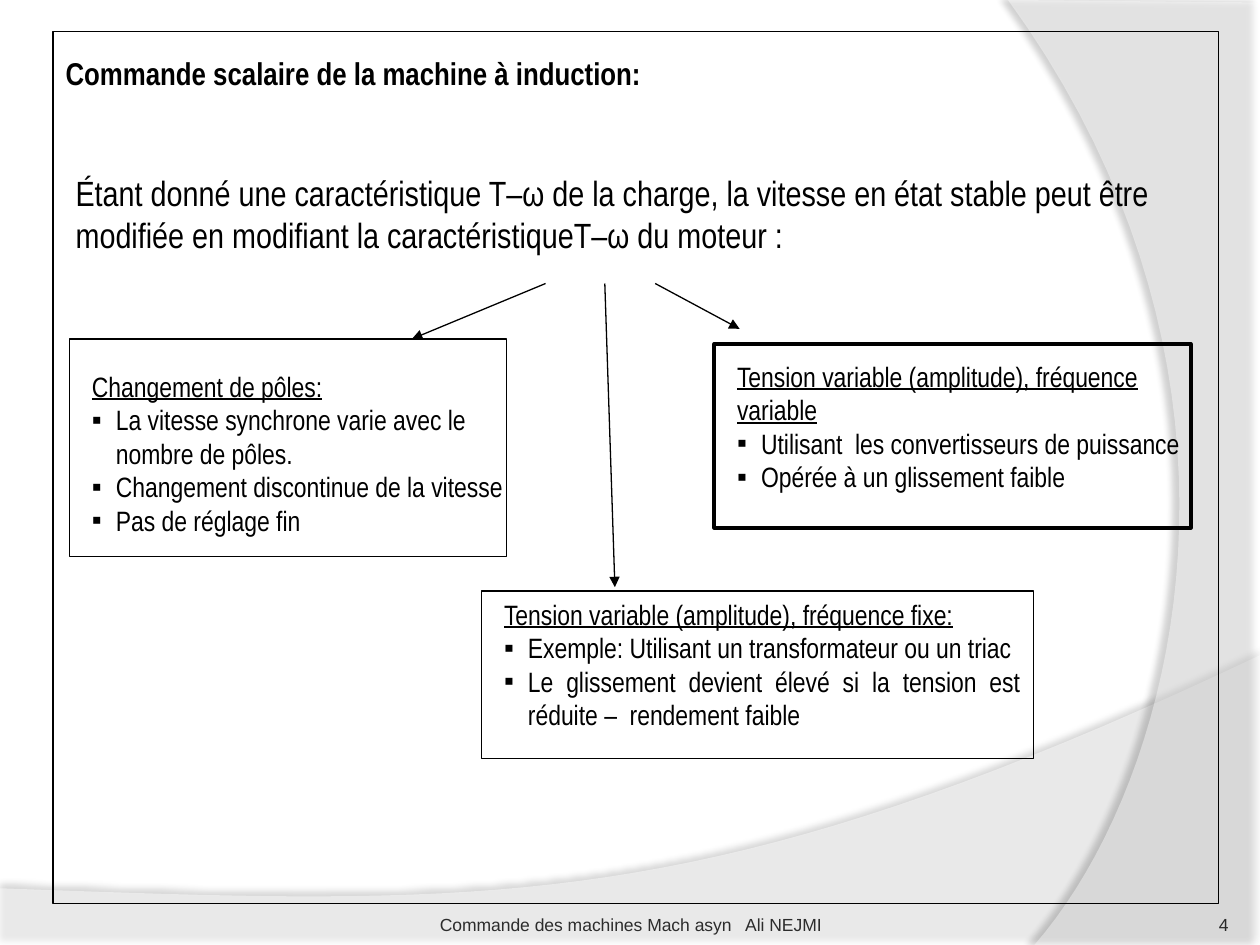
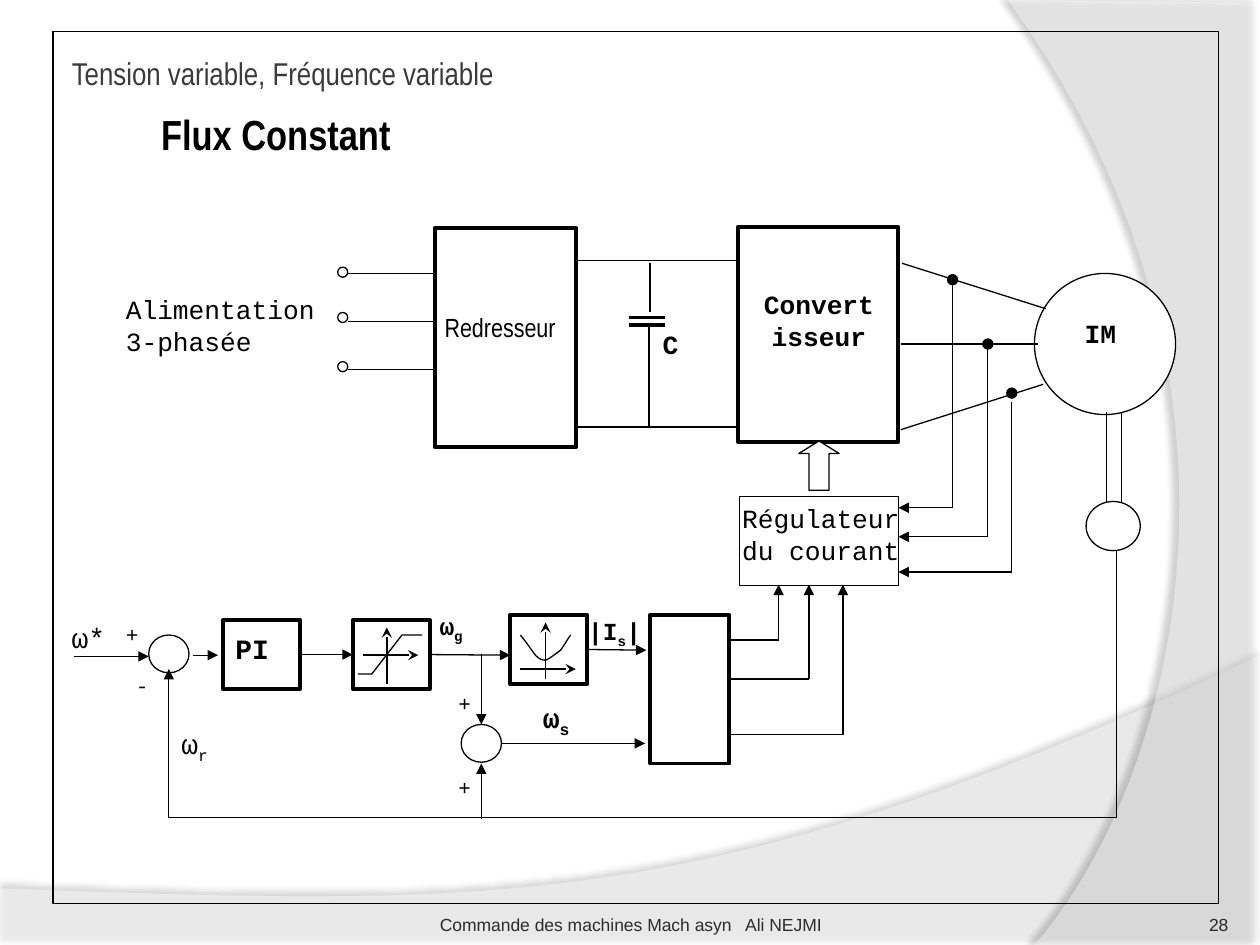
from lxml import etree
from pptx import Presentation
from pptx.dml.color import RGBColor
from pptx.enum.shapes import MSO_CONNECTOR, MSO_SHAPE
from pptx.enum.text import MSO_ANCHOR, MSO_AUTO_SIZE, PP_ALIGN
from pptx.oxml.ns import qn
from pptx.util import Pt

PX = 9144
RECTANGLE, ELLIPSE, UP_ARROW = MSO_SHAPE.RECTANGLE, MSO_SHAPE.OVAL, MSO_SHAPE.UP_ARROW
STRAIGHT = MSO_CONNECTOR.STRAIGHT
LEFT, CENTER, RIGHT, JUSTIFY = PP_ALIGN.LEFT, PP_ALIGN.CENTER, PP_ALIGN.RIGHT, PP_ALIGN.JUSTIFY
TOP, MIDDLE, BOTTOM = MSO_ANCHOR.TOP, MSO_ANCHOR.MIDDLE, MSO_ANCHOR.BOTTOM
NO_AUTOFIT = MSO_AUTO_SIZE.NONE
TITLE_ONLY, COMPARISON = 5, 4
NARROW, MONO, SANS = "Arial Narrow", "Courier New", "Arial"
BLACK, WHITE = "000000", "FFFFFF"
TITLE_BOX = (47, 36, 631, 44)
INSETS = (10, 5, 10, 5)


def color(value):
    return RGBColor.from_string(value)


def bezier(start, control1, control2, end, steps=40):
    points = []
    for step in range(1, steps + 1):
        t = step / steps
        weights = ((1 - t) ** 3, 3 * t * (1 - t) ** 2, 3 * t ** 2 * (1 - t), t ** 3)
        corners = (start, control1, control2, end)
        points.append(tuple(sum(w * c[axis] for w, c in zip(weights, corners))
                            for axis in (0, 1)))
    return points


class Deck:
    def __init__(self):
        self.presentation = Presentation()
        self.presentation.slide_width = 1000 * PX
        self.presentation.slide_height = 750 * PX
        self.slide = None

    def start_slide(self, layout, number):
        first = self.slide is None
        self.slide = self.presentation.slides.add_slide(self.presentation.slide_layouts[layout])
        if first:
            self.add_master_bands()
        self.shape(RECTANGLE, 42, 25, 925, 692, fill=None)
        self.text(str(number), 892, 702, 83, 40, size=10, font=SANS, ink="292929",
                  align=RIGHT, anchor=BOTTOM, insets=(0, 0, 0, 0))
        self.text("Commande des machines Mach asyn   Ali NEJMI", 342, 702, 317, 40, size=10,
                  font=SANS, ink="2C2C2C", align=CENTER, anchor=BOTTOM, insets=(0, 5, 0, 0))

    def add_master_bands(self):
        side = [(1000, 2), (1000, 750), (821, 750),
                *bezier((821, 750), (935, 619), (1018, 300), (800, 0))]
        floor = [(0, 705), (0, 751), (1000, 751), (1000, 520),
                 *bezier((1000, 520), (559, 729), (391, 719), (0, 705))]
        for points, opacity, shade, distance, angle in (
                (side, 40, 45, 4, 180), (floor, 45, 35, 3.5, 270)):
            band = self.freeform(points, closed=True)
            band.line.fill.background()
            band.fill.solid()
            band.fill.fore_color.rgb = color(WHITE)
            properties = band.element.spPr
            white = properties.find(qn("a:solidFill")).find(qn("a:srgbClr"))
            etree.SubElement(white, qn("a:alpha"), val=str(opacity * 1000))
            shadow = etree.SubElement(
                properties.find(qn("a:effectLst")), qn("a:outerShdw"), blurRad=str(Pt(4)),
                dist=str(Pt(distance)), dir=str(angle * 60000), algn="ctr", rotWithShape="0")
            black = etree.SubElement(shadow, qn("a:srgbClr"), val=BLACK)
            etree.SubElement(black, qn("a:alpha"), val=str(shade * 1000))
            self.presentation.slide_master.shapes.element.insert(2, band.element)

    def outline(self, shape, width):
        shape.line.color.rgb = color(BLACK)
        shape.line.width = Pt(width)

    def shape(self, kind, left, top, width, height, fill=WHITE, line=0.75):
        shape = self.slide.shapes.add_shape(kind, left * PX, top * PX, width * PX, height * PX)
        shape.shadow.inherit = False
        if fill:
            shape.fill.solid()
            shape.fill.fore_color.rgb = color(fill)
        else:
            shape.fill.background()
        self.outline(shape, line)
        return shape

    def freeform(self, points, closed=False):
        vertices = [(x * PX, y * PX) for x, y in points]
        builder = self.slide.shapes.build_freeform(*vertices[0])
        builder.add_line_segments(vertices[1:], close=closed)
        shape = builder.convert_to_shape()
        shape.shadow.inherit = False
        shape.fill.background()
        self.outline(shape, 0.75)
        return shape

    def line(self, x1, y1, x2, y2, width=0.75, head=None, begin=None, end=None):
        connector = self.slide.shapes.add_connector(STRAIGHT, x1 * PX, y1 * PX, x2 * PX, y2 * PX)
        if begin:
            connector.begin_connect(*begin)
        if end:
            connector.end_connect(*end)
        self.outline(connector, width)
        properties = connector.element.spPr
        if head:
            etree.SubElement(properties.find(qn("a:ln")), qn("a:tailEnd"), type=head)
        etree.SubElement(properties, qn("a:effectLst"))

    def arrow(self, x1, y1, x2, y2, **options):
        self.line(x1, y1, x2, y2, head="triangle", **options)

    def text(self, content, left, top, width, height, **style):
        box = self.slide.shapes.add_textbox(left * PX, top * PX, width * PX, height * PX)
        self.fill_text(box, content.split("\n"), **style)

    def title(self, content, **style):
        self.placeholder(0, [content], TITLE_BOX, size=18, anchor=MIDDLE, **style)

    def placeholder(self, index, lines, box, **style):
        shape = next(item for item in self.slide.placeholders
                     if item.placeholder_format.idx == index)
        shape.left, shape.top, shape.width, shape.height = (value * PX for value in box)
        self.fill_text(shape, lines, **style)

    def fill_text(self, shape, lines, size, font=NARROW, ink=BLACK, bold=False, align=LEFT,
                  anchor=TOP, insets=INSETS, listed=False):
        frame = shape.text_frame
        frame.word_wrap = True
        frame.auto_size = NO_AUTOFIT
        frame.vertical_anchor = anchor
        (frame.margin_left, frame.margin_top,
         frame.margin_right, frame.margin_bottom) = (value * PX for value in insets)
        for number, line in enumerate(lines):
            paragraph = frame.add_paragraph() if number else frame.paragraphs[0]
            bulleted = listed and number > 0
            properties = paragraph._p.get_or_add_pPr()
            properties.set("marL", str(19 * PX if bulleted else 0))
            properties.set("indent", str(-19 * PX if bulleted else 0))
            if bulleted:
                etree.SubElement(properties, qn("a:buChar"), char="▪")
            else:
                etree.SubElement(properties, qn("a:buNone"))
            paragraph.alignment = align
            paragraph.space_before = Pt(0)
            paragraph.font.name = font
            paragraph.font.size = Pt(size)
            paragraph.font.bold = bold
            paragraph.font.underline = listed and not bulleted
            paragraph.font.color.rgb = color(ink)
            for position, piece in enumerate(line.split("_")):
                if piece:
                    run = paragraph.add_run()
                    run.text = piece
                    if position % 2:
                        run._r.get_or_add_rPr().set("baseline", "-25000")


def build_methods(deck):
    deck.start_slide(COMPARISON, 4)
    deck.title("Commande scalaire de la machine à induction:", bold=True, insets=(5, 5, 5, 5))
    deck.placeholder(1, ["Étant donné une caractéristique T–ω de la charge, la vitesse en état "
                         "stable peut être modifiée en modifiant la caractéristiqueT–ω du moteur :"],
                     (50, 131, 908, 77), size=20)
    methods = (
        (["Changement de pôles:",
          "La vitesse synchrone varie avec le nombre de pôles.",
          "Changement discontinue de la vitesse",
          "Pas de réglage fin"],
         (63, 288, 361, 145), LEFT, (55, 269, 347, 173), 0.75, (433, 225, 327, 269)),
        (["Tension variable (amplitude), fréquence fixe:",
          "Exemple: Utilisant un transformateur ou un triac",
          "Le glissement devient élevé si la tension est réduite –  rendement faible"],
         (390, 469, 430, 118), JUSTIFY, (382, 469, 438, 133), 0.75, (480, 225, 488, 466)),
        (["Tension variable (amplitude), fréquence variable",
          "Utilisant  les convertisseurs de puissance",
          "Opérée à un glissement faible"],
         (575, 280, 390, 118), LEFT, (567, 273, 378, 146), 2.25, (520, 225, 587, 261)),
    )
    for index, (lines, text_box, align, border, width, arrow) in enumerate(methods, 2):
        deck.placeholder(index, lines, text_box, size=16, align=align, listed=True)
        deck.shape(RECTANGLE, *border, fill=None, line=width)
        deck.arrow(*arrow)


def build_power_stage(deck):
    deck.shape(RECTANGLE, 345, 181, 112, 174, line=2.25)
    deck.shape(RECTANGLE, 586, 180, 127, 171, line=2.25)
    deck.shape(ELLIPSE, 821, 217, 112, 112)
    deck.shape(ELLIPSE, 862, 398, 43, 39)
    deck.shape(RECTANGLE, 587, 394, 126, 71)
    gate_arrow = deck.shape(UP_ARROW, 634, 350, 32, 39)
    gate_arrow.adjustments[1] = 0.31
    for terminal_top, wire_y in ((212, 217), (248, 255), (287, 293)):
        deck.shape(ELLIPSE, 268, terminal_top, 8, 8, fill=None)
        deck.line(276, wire_y, 345, wire_y)
    for bus_y in (207, 339):
        deck.line(457, bus_y, 586, bus_y)
    for plate_y in (252, 258):
        deck.line(499, plate_y, 528, plate_y, width=2.25)
    deck.line(516, 209, 516, 248)
    deck.line(515, 258, 515, 340)
    for phase in ((716, 209, 830, 245), (715, 273, 824, 273), (715, 341, 828, 305)):
        deck.line(*phase)
    for x, dot_top, start, level in ((756, 218, 221, 403), (784, 269, 277, 426),
                                     (803, 308, 319, 454)):
        deck.shape(ELLIPSE, x - 4, dot_top, 8, 8, fill=BLACK)
        deck.line(x, start, x, level)
        deck.arrow(x, level, 713, level)
    for shaft_x in (878, 890):
        deck.line(shaft_x, 327, shaft_x, 399)
    deck.text("Alimentation\n3-phasée", 90, 228, 188, 66, size=15, font=MONO)
    deck.text("Redresseur", 343, 242, 117, 42, size=15)
    deck.text("Convertisseur", 592, 224, 116, 56, size=15, font=MONO, bold=True, align=CENTER)
    deck.text("Régulateur du courant", 575, 394, 153, 98, size=15, font=MONO, align=CENTER)
    deck.text("IM", 851, 247, 82, 56, size=15, font=MONO, bold=True)
    deck.text("C", 516, 256, 62, 56, size=15, font=MONO, bold=True)


def build_control_loop(deck):
    controller, limiter, flux_curve = (
        deck.shape(RECTANGLE, left, top, 61, 55, line=2.25)
        for left, top in ((177, 492), (280, 492), (405, 488)))
    deck.shape(RECTANGLE, 516, 488, 63, 118, line=2.25)
    for left, top in ((118, 504), (366, 575)):
        deck.shape(ELLIPSE, left, top, 32, 30)

    for feedback in ((134, 649, 886, 649), (886, 437, 886, 649)):
        deck.line(*feedback)
    for x, level in ((618, 508), (642, 539), (669, 583)):
        deck.line(579, level, x, level)
        deck.arrow(x, level, x, 464)
    for signal in ((59, 521, 118, 521), (153, 520, 173, 520), (134, 649, 134, 531),
                   (382, 519, 382, 575), (382, 650, 382, 606), (398, 590, 512, 590)):
        deck.arrow(*signal)
    deck.arrow(238, 520, 280, 520, begin=(controller, 3), end=(limiter, 1))
    deck.arrow(341, 520, 405, 520, begin=(limiter, 3))
    deck.arrow(466, 516, 513, 516, begin=(flux_curve, 3))

    for axis in ((307, 543, 307, 498), (288, 520, 332, 520),
                 (433, 539, 433, 494), (413, 531, 457, 531)):
        deck.line(*axis, width=1, head="stealth")
    deck.freeform([(284, 535), (295, 535), (319, 504), (335, 504)])
    deck.freeform([(413, 504),
                   *bezier((413, 504), (418, 510), (422, 516), (425, 520), 8),
                   *bezier((425, 520), (428, 523), (430, 524), (433, 524), 8),
                   *bezier((433, 524), (436, 523), (441, 519), (445, 516), 8),
                   *bezier((445, 516), (448, 512), (450, 508), (453, 504), 8)])

    for label, left, top, width, size, bold in (
            ("ω*", 47, 488, 67, 16, False), ("ω_r", 134, 572, 75, 16, False),
            ("PI", 177, 496, 62, 16, True), ("ω_g", 339, 480, 87, 14, True),
            ("|I_s_|", 457, 484, 79, 14, True), ("ω_s", 421, 551, 62, 16, True),
            ("+", 90, 488, 62, 12, False), ("-", 98, 529, 62, 12, False),
            ("+", 354, 543, 62, 12, False), ("+", 354, 610, 62, 12, False)):
        deck.text(label, left, top, width, 56, size=size, font=MONO, bold=bold)


def main():
    deck = Deck()
    build_methods(deck)
    deck.start_slide(TITLE_ONLY, 28)
    deck.title("Tension variable, Fréquence variable", ink="3B3B3B")
    deck.text("Flux Constant", 118, 81, 411, 50, size=24, bold=True)
    build_power_stage(deck)
    build_control_loop(deck)
    deck.presentation.save("out.pptx")


if __name__ == "__main__":
    main()
